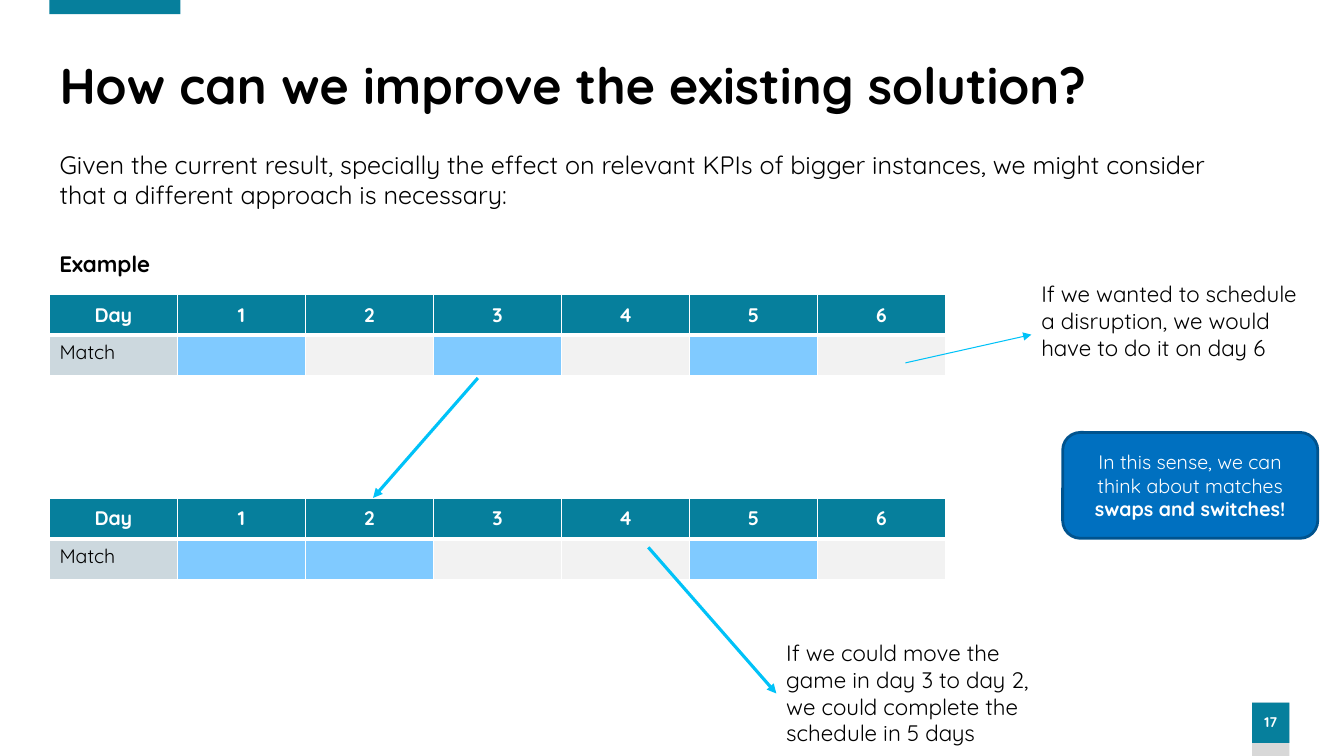
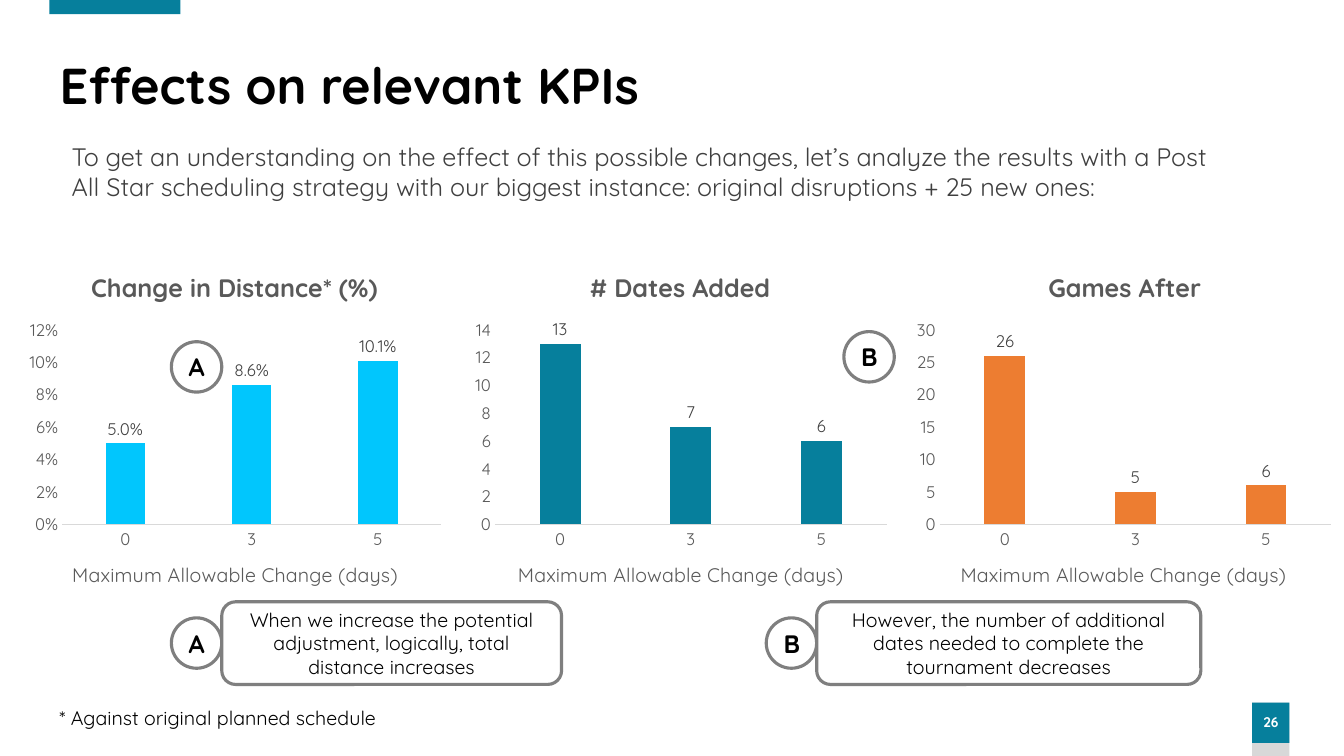
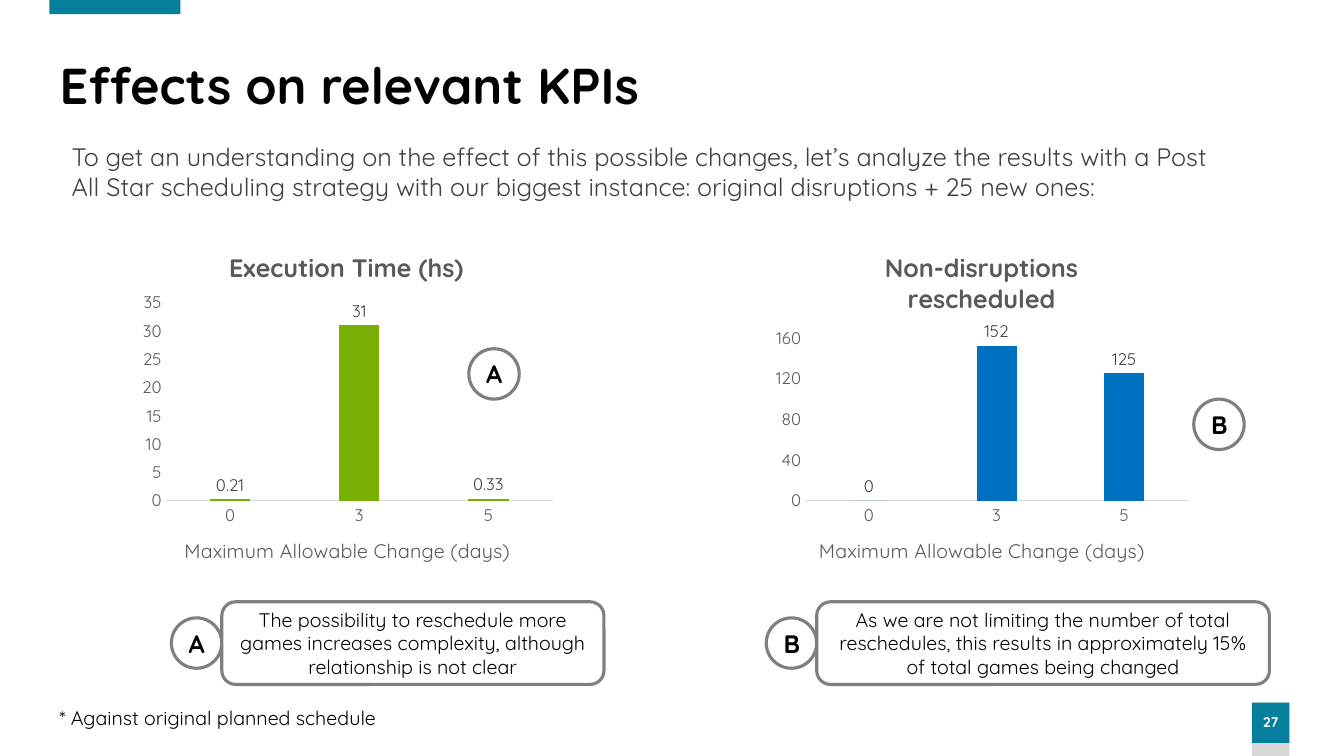
import pptx
import pptx.chart.data
import pptx.dml.color
import pptx.enum.chart
import pptx.enum.shapes
import pptx.enum.text
import pptx.oxml
import pptx.oxml.ns
import pptx.util
from dataclasses import dataclass

Inches, Pt = pptx.util.Inches, pptx.util.Pt
SHAPE = pptx.enum.shapes.MSO_SHAPE
ALIGN = pptx.enum.text.PP_ALIGN
ANCHOR = pptx.enum.text.MSO_ANCHOR
AUTOSIZE = pptx.enum.text.MSO_AUTO_SIZE
qn = pptx.oxml.ns.qn


@dataclass(frozen=True)
class Theme:
    font: str = "Quicksand"
    teal: str = "067F9C"
    cyan: str = "01C6FD"
    arrow: str = "00C2F8"
    orange: str = "ED7D31"
    green: str = "79AE02"
    blue: str = "0070C0"
    navy: str = "00538E"
    sky: str = "80CAFF"
    black: str = "000000"
    white: str = "FFFFFF"
    intro: str = "3F3F3F"
    label: str = "404040"
    axis: str = "595959"
    outline: str = "7F7F7F"
    baseline: str = "D9D9D9"
    band: str = "D8D8D8"
    empty: str = "F2F2F2"
    row_head: str = "CCD8DE"
    title_size: int = 36
    body_size: int = 18
    note_size: int = 16
    small_size: int = 14
    chart_size: int = 12
    number_size: int = 10


T = Theme()

# Content
DAYS = ["1", "2", "3", "4", "5", "6"]
SCHEDULES = [(2.92, {1, 3, 5}), (4.94, {1, 2, 5})]  # top, days with a match
ARROWS = [  # start, end, width
    ((8.98, 3.6), (10.23, 3.32), 0.75),
    ((4.74, 3.75), (3.7, 4.94), 2.25),
    ((6.43, 5.43), (7.7, 6.88), 2.25),
]
NOTES = [
    ((10.23, 2.73), "If we wanted to schedule a disruption, we would have to do it on day 6"),
    ((7.7, 6.29), "If we could move the game in day 3 to day 2, we could complete the "
                  "schedule in 5 days"),
]
KPI_INTRO = ("To get an understanding on the effect of this possible changes, let’s analyze "
             "the results with a Post All Star scheduling strategy with our biggest instance: "
             "original disruptions + 25 new ones:")
CHANGES = ["0", "3", "5"]
AXIS_TITLE = "Maximum Allowable Change (days)"

# plot: left, top, width, height as shares of the chart
KPI_SLIDES = [
    dict(
        number=26, top=2.5,
        charts=[
            dict(left=0.19, title="Change in Distance* (%)", values=[0.05, 0.086, 0.101],
                 color=T.cyan, top=0.12, step=0.02, axis="0%", labels="0.0%",
                 plot=(0.1, 0.22, 0.88, 0.55)),
            dict(left=4.61, title="# Dates Added", values=[13, 7, 6],
                 color=T.teal, top=14, step=2, axis="#,##0", labels="General",
                 plot=(0.07, 0.22, 0.91, 0.55)),
            dict(left=9.02, title="Games After", values=[26, 5, 6],
                 color=T.orange, top=30, step=5, axis="#,##0", labels="General",
                 plot=(0.07, 0.22, 0.91, 0.55)),
        ],
        markers=[("A", 1.7, 3.39), ("B", 8.37, 3.29)],
        findings=[
            ("A", 1.7, 3.37, "When we increase the potential adjustment, logically, "
                             "total distance increases"),
            ("B", 7.6, 3.81, "However, the number of additional dates needed to complete "
                             "the tournament decreases"),
        ],
    ),
    dict(
        number=27, top=2.3,
        charts=[
            dict(left=1.3, title="Execution Time (hs)", values=[0.21, 31, 0.33],
                 color=T.green, top=35, step=5, axis="#,##0", labels="General",
                 plot=(0.08, 0.2, 0.9, 0.56)),
            dict(left=7.6, title="Non-disruptions rescheduled", values=[0, 152, 125],
                 color=T.blue, top=160, step=40, axis="#,##0", labels="General",
                 plot=(0.09, 0.3, 0.89, 0.46)),
        ],
        markers=[("A", 4.65, 3.46), ("B", 11.84, 3.96)],
        findings=[
            ("A", 1.7, 3.79, "The possibility to reschedule more games increases "
                             "complexity, although relationship is not clear"),
            ("B", 7.6, 4.49, "As we are not limiting the number of total reschedules, this "
                             "results in approximately 15% of total games being changed"),
        ],
    ),
]


# Helpers
def rgb(color):
    return pptx.dml.color.RGBColor.from_string(color)


def set_font(font, size, color=T.black, bold=False):
    for name, value in dict(name=T.font, size=Pt(size), bold=bold).items():
        setattr(font, name, value)
    font.color.rgb = rgb(color)


def set_text(tf, runs, size, color=T.black, bold=False, **formats):
    """Fill the first paragraph with one string or (text, bold) runs."""
    p = tf.paragraphs[0]
    for name, value in formats.items():
        setattr(p, name, value)
    for text, strong in [(runs, bold)] if isinstance(runs, str) else runs:
        r = p.add_run()
        r.text = text
        set_font(r.font, size, color, strong)
    return p


def add_sub(parent, tag, **attributes):
    child = parent.makeelement(qn(tag), attributes)
    parent.append(child)
    return child


def place(sp, left, top, width, height):
    for name, value in dict(left=left, top=top, width=width, height=height).items():
        setattr(sp, name, Inches(value))


def add_box(s, kind, at, fill, line=None, weight=2.25):
    sp = s.shapes.add_shape(kind, *map(Inches, at))
    sp.shadow.inherit = False
    sp.fill.solid()
    sp.fill.fore_color.rgb = rgb(fill)
    if line:
        sp.line.color.rgb = rgb(line)
        sp.line.width = Pt(weight)
    else:
        sp.line.fill.background()
    sp.text_frame.word_wrap = True
    sp.text_frame.vertical_anchor = ANCHOR.MIDDLE
    return sp


def add_note(s, at, text, size, bold=False, wrap=True):
    sp = s.shapes.add_textbox(*map(Inches, at))
    sp.text_frame.word_wrap = wrap
    set_text(sp.text_frame, text, size, bold=bold)


def add_arrow(s, start, end, weight):
    line = s.shapes.add_connector(pptx.enum.shapes.MSO_CONNECTOR.STRAIGHT,
                                  *map(Inches, start + end))
    line.line.color.rgb = rgb(T.arrow)
    line.line.width = Pt(weight)
    add_sub(line.line._get_or_add_ln(), "a:tailEnd", type="triangle")
    add_sub(line._element.spPr, "a:effectLst")


def add_base(prs, number, title, intro, body_at, indent=0, before=0, color=T.black):
    """A slide with the shared bands, page number, title and lead text."""
    s = prs.slides.add_slide(prs.slide_layouts[1])
    add_box(s, SHAPE.RECTANGLE, (12.42, 6.97, 0.37, 0.53), T.band)
    page = add_box(s, SHAPE.RECTANGLE, (12.42, 6.97, 0.37, 0.4), T.teal)
    page.text_frame.margin_left = page.text_frame.margin_right = 0
    set_text(page.text_frame, str(number), T.number_size, T.white, True,
             alignment=ALIGN.CENTER, line_spacing=0.9)
    add_box(s, SHAPE.RECTANGLE, (0.49, 0, 1.3, 0.14), T.teal)

    head, body = s.shapes.title, s.placeholders[1]
    place(head, 0.49, 0.55, 12.22, 0.65)
    place(body, *body_at)
    for sp, anchor in ((head, ANCHOR.MIDDLE), (body, ANCHOR.TOP)):
        sp.text_frame.auto_size = AUTOSIZE.NONE
        sp.text_frame.word_wrap = True
        sp.text_frame.vertical_anchor = anchor
    set_text(head.text_frame, title, T.title_size, bold=True,
             alignment=ALIGN.LEFT, line_spacing=0.9)
    p = set_text(body.text_frame, intro, T.body_size, color, space_before=Pt(before))
    pPr = p._p.get_or_add_pPr()
    pPr.set("marL", str(Inches(indent)))
    pPr.set("indent", "0")
    add_sub(pPr, "a:buNone")
    return s


def style_cell(cell, fill, bottom):
    cell.fill.solid()
    cell.fill.fore_color.rgb = rgb(fill)
    tcPr = cell._tc.get_or_add_tcPr()
    for i, side in enumerate("LRTB"):
        width = Pt(bottom if side == "B" else 1)
        ln = add_sub(tcPr, f"a:ln{side}", w=str(width))
        add_sub(add_sub(ln, "a:solidFill"), "a:srgbClr", val=T.white)
        tcPr.insert(i, ln)


def add_schedule(s, top, played):
    heads = ["Day"] + DAYS
    frame = s.shapes.add_table(2, len(heads), Inches(0.49), Inches(top),
                               Inches(1.27 * len(heads)), Inches(0.81))
    table = frame.table
    for col, head in enumerate(heads):
        cell = table.cell(0, col)
        cell.vertical_anchor = ANCHOR.MIDDLE
        set_text(cell.text_frame, head, T.small_size, T.white, True, alignment=ALIGN.CENTER)
        style_cell(cell, T.teal, 3)
        fill = T.row_head if col == 0 else T.sky if col in played else T.empty
        style_cell(table.cell(1, col), fill, 1)
    set_text(table.cell(1, 0).text_frame, "Match", T.small_size)


def add_kpi_chart(s, top, spec_):
    data = pptx.chart.data.CategoryChartData()
    data.categories = CHANGES
    data.add_series("Series 1", spec_["values"])
    chart = s.shapes.add_chart(pptx.enum.chart.XL_CHART_TYPE.COLUMN_CLUSTERED,
                               Inches(spec_["left"]), Inches(top),
                               Inches(4.27), Inches(3.51), data).chart
    set_font(chart.font, T.number_size)
    chart.has_legend = False
    chart.has_title = True
    set_text(chart.chart_title.text_frame, spec_["title"], T.body_size, T.axis, True)

    # Axes
    cat, val = chart.category_axis, chart.value_axis
    for axis in (cat, val):
        axis.has_major_gridlines = False
        axis.major_tick_mark = axis.minor_tick_mark = pptx.enum.chart.XL_TICK_MARK.NONE
        set_font(axis.tick_labels.font, T.chart_size, T.axis)
    cat.format.line.color.rgb = rgb(T.baseline)
    cat.format.line.width = Pt(0.75)
    set_text(cat.axis_title.text_frame, AXIS_TITLE, T.small_size, T.axis)
    val.format.line.fill.background()
    scale = dict(minimum_scale=0, maximum_scale=spec_["top"], major_unit=spec_["step"])
    for name, value in scale.items():
        setattr(val, name, value)

    # Bars and labels
    plot = chart.plots[0]
    plot.gap_width, plot.overlap, plot.vary_by_categories = 219, -27, False
    fill = plot.series[0].format.fill
    fill.solid()
    fill.fore_color.rgb = rgb(spec_["color"])
    plot.has_data_labels = True
    labels = plot.data_labels
    labels.show_value = True
    labels.position = pptx.enum.chart.XL_LABEL_POSITION.OUTSIDE_END
    set_font(labels.font, T.chart_size, T.label)
    for target, code in ((labels, spec_["labels"]), (val.tick_labels, spec_["axis"])):
        target.number_format = code
        target.number_format_is_linked = False

    # Inner plot area
    area = chart._chartSpace.chart.plotArea
    for old in area.findall(qn("c:layout")):
        area.remove(old)
    layout = add_sub(area, "c:layout")
    area.insert(0, layout)
    manual = add_sub(layout, "c:manualLayout")
    add_sub(manual, "c:layoutTarget", val="inner")
    for name in "xy":
        add_sub(manual, f"c:{name}Mode", val="edge")
    for name, share in zip("xywh", spec_["plot"]):
        add_sub(manual, f"c:{name}", val=str(share))


def add_marker(s, letter, left, top):
    sp = add_box(s, SHAPE.OVAL, (left, top, 0.5, 0.5), T.white, T.outline)
    set_text(sp.text_frame, letter, T.body_size, bold=True, alignment=ALIGN.CENTER)


# Slides
def build_improvement(prs):
    s = add_base(prs, 17, "How can we improve the existing solution?",
                 "Given the current result, specially the effect on relevant KPIs of bigger "
                 "instances, we might consider that a different approach is necessary:",
                 (0.49, 1.43, 11.88, 5.39))
    add_note(s, (0.49, 2.43, 1.15, 0.37), "Example", T.note_size, bold=True, wrap=False)
    for top, played in SCHEDULES:
        add_schedule(s, top, played)
    for at, text in NOTES:
        add_note(s, at + (2.84, 1.18), text, T.note_size)
    for start, end, weight in ARROWS:
        add_arrow(s, start, end, weight)
    sp = add_box(s, SHAPE.ROUNDED_RECTANGLE, (10.54, 4.29, 2.53, 1.05), T.blue, T.navy, 2)
    set_text(sp.text_frame, [("In this sense, we can think about matches ", False),
                             ("swaps and switches!", True)],
             T.small_size, T.white, alignment=ALIGN.CENTER)


def build_kpis(prs, page):
    s = add_base(prs, page["number"], "Effects on relevant KPIs", KPI_INTRO,
                 (0.49, 1.35, 11.88, 5.22), indent=0.12, before=0, color=T.intro)
    for chart in page["charts"]:
        add_kpi_chart(s, page["top"], chart)
    for letter, left, width, text in page["findings"]:
        add_marker(s, letter, left, 6.13)
        sp = add_box(s, SHAPE.ROUNDED_RECTANGLE, (left + 0.5, 5.97, width, 0.82),
                     T.white, T.outline)
        set_text(sp.text_frame, text, T.small_size, alignment=ALIGN.CENTER)
    for marker in page["markers"]:
        add_marker(s, *marker)
    add_note(s, (0.49, 6.95, 3.58, 0.34), "* Against original planned schedule",
             T.small_size, wrap=False)


def main():
    prs = pptx.Presentation()
    prs.slide_width, prs.slide_height = Inches(13.33), Inches(7.5)
    build_improvement(prs)
    for page in KPI_SLIDES:
        build_kpis(prs, page)
    prs.save("out.pptx")


if __name__ == "__main__":
    main()
